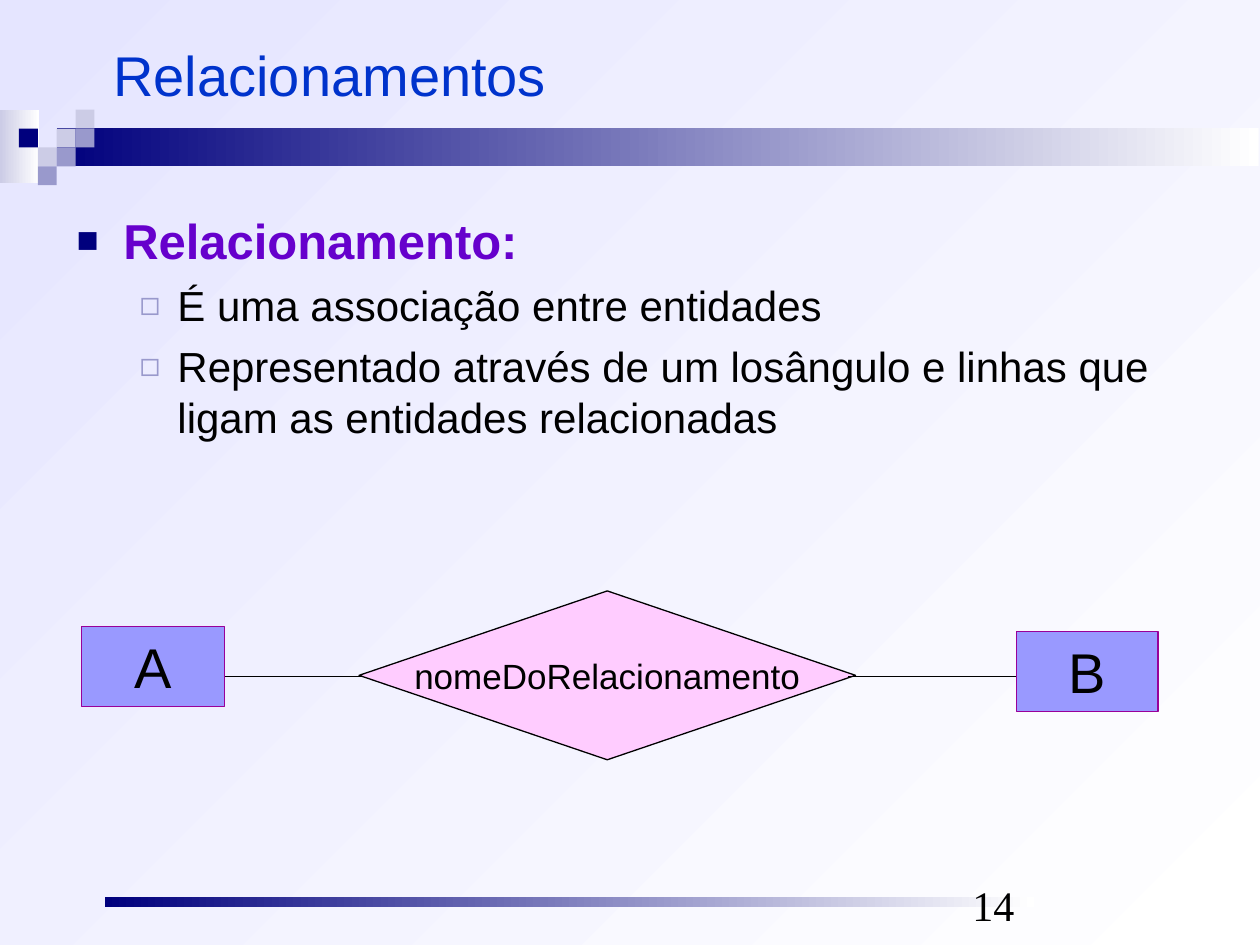
from lxml import etree
from pptx import Presentation
from pptx.dml.color import RGBColor
from pptx.enum.shapes import MSO_CONNECTOR, MSO_SHAPE
from pptx.enum.text import MSO_ANCHOR, MSO_AUTO_SIZE, PP_ALIGN
from pptx.oxml.ns import qn
from pptx.util import Inches, Pt

WHITE = RGBColor(0xFF, 0xFF, 0xFF)
BLACK = RGBColor(0, 0, 0)
NAVY = RGBColor(0, 0, 0x7D)
PALE = RGBColor(0xCC, 0xCC, 0xE6)
MID = RGBColor(0x99, 0x99, 0xCC)
LAVENDER = RGBColor(0xE5, 0xE5, 0xFF)
BLUE = RGBColor(0, 0x33, 0xCC)
VIOLET = RGBColor(0x66, 0, 0xCC)
PINK = RGBColor(0xFF, 0xCC, 0xFF)
ENTITY_FILL = RGBColor(0x99, 0x99, 0xFF)
ENTITY_LINE = RGBColor(0x99, 0, 0x99)

TITLE = "Relacionamentos"
BODY = [  # level, text
    (0, "Relacionamento:"),
    (1, "É uma associação entre entidades"),
    (1, "Representado através de um losângulo e linhas que ligam as entidades relacionadas"),
]
LEVELS = [
    dict(size=28, color=VIOLET, bold=True, before=7, margin=0.37, indent=-0.37,
         bullet="■", bullet_color=NAVY, bullet_size=75),
    dict(size=24, color=BLACK, bold=False, before=6, margin=0.8, indent=-0.3,
         bullet="◻", bullet_color=MID, bullet_size=80),
]
BARS = [  # box, colour at the left end
    ((0, 0.87, 0.31, 0.58), PALE),
    ((0.45, 1.02, 9.54, 0.3), NAVY),
    ((0.83, 7.12, 7.38, 0.08), NAVY),
]
SQUARE = 0.15
SQUARES_LEFT, SQUARES_TOP = 0.15, 0.87
SQUARES = [  # column, row, colour
    (2, 1, PALE), (3, 0, PALE), (3, 1, MID), (1, 2, PALE),
    (0, 1, NAVY), (2, 2, MID), (1, 3, MID),
]
DIAMOND = ("nomeDoRelacionamento", (2.85, 4.69, 3.94, 1.34))
ENTITIES = [("A", (0.65, 4.97, 1.13, 0.64)), ("B", (8.07, 5.01, 1.12, 0.64))]
LINE_Y = 5.37
LINES = [(1.3, 2.87), (6.73, 8.31)]


def inches(box):
    return [Inches(value) for value in box]


def set_gradient(fill, end_color, angle):
    """Fill from white to end_color; the angle runs counter-clockwise."""
    fill.gradient()
    fill.gradient_angle = angle
    for stop, color in zip(fill.gradient_stops, (WHITE, end_color)):
        stop.color.rgb = color


def add_run(paragraph, text, size, color, font="Arial", bold=False):
    run = paragraph.add_run()
    run.text = text
    run.font.size, run.font.name, run.font.bold = Pt(size), font, bold
    run.font.color.rgb = color


def add_block(slide, kind, box, color=None, line=None):
    shape = slide.shapes.add_shape(kind, *inches(box))
    shape.shadow.inherit = False
    if color is not None:
        shape.fill.solid()
        shape.fill.fore_color.rgb = color
    if line is None:
        shape.line.fill.background()
    else:
        shape.line.color.rgb = line
        shape.line.width = Pt(0.75)
    return shape


def label(shape, text, size, wrap):
    frame = shape.text_frame
    frame.word_wrap = wrap
    frame.vertical_anchor = MSO_ANCHOR.MIDDLE
    frame.paragraphs[0].alignment = PP_ALIGN.CENTER
    add_run(frame.paragraphs[0], text, size, BLACK)


def set_bullet(paragraph, style):
    properties = paragraph._p.get_or_add_pPr()
    properties.set("marL", str(Inches(style["margin"])))
    properties.set("indent", str(Inches(style["indent"])))
    color = etree.SubElement(properties, qn("a:buClr"))
    etree.SubElement(color, qn("a:srgbClr"), val=str(style["bullet_color"]))
    etree.SubElement(properties, qn("a:buSzPct"), val=str(style["bullet_size"] * 1000))
    etree.SubElement(properties, qn("a:buFont"), typeface="Arial")
    etree.SubElement(properties, qn("a:buChar"), char=style["bullet"])


def add_decoration(slide):
    set_gradient(slide.background.fill, LAVENDER, 135)
    for box, color in BARS:
        set_gradient(add_block(slide, MSO_SHAPE.RECTANGLE, box).fill, color, 180)
    for column, row, color in SQUARES:
        box = (SQUARES_LEFT + column * SQUARE, SQUARES_TOP + row * SQUARE, SQUARE, SQUARE)
        add_block(slide, MSO_SHAPE.RECTANGLE, box, color)


def add_title(slide):
    title = slide.shapes.title
    title.left, title.top, title.width, title.height = inches((0.8, 0.22, 9.01, 0.73))
    frame = title.text_frame
    frame.auto_size = MSO_AUTO_SIZE.NONE
    frame.vertical_anchor = MSO_ANCHOR.MIDDLE
    frame.paragraphs[0].alignment = PP_ALIGN.LEFT
    add_run(frame.paragraphs[0], TITLE, 32, BLUE)


def add_body(slide):
    frame = slide.shapes.add_textbox(*inches((0.51, 1.62, 9.01, 5.05))).text_frame
    frame.word_wrap = True
    for index, (level, text) in enumerate(BODY):
        paragraph = frame.add_paragraph() if index else frame.paragraphs[0]
        style = LEVELS[level]
        paragraph.level = level
        paragraph.space_before = Pt(style["before"])
        set_bullet(paragraph, style)
        add_run(paragraph, text, style["size"], style["color"], bold=style["bold"])


def add_diagram(slide):
    name, box = DIAMOND
    label(add_block(slide, MSO_SHAPE.DIAMOND, box, PINK, BLACK), name, 20, False)
    for start, end in LINES:
        line = slide.shapes.add_connector(
            MSO_CONNECTOR.STRAIGHT, *inches((start, LINE_Y, end, LINE_Y)))
        line.line.color.rgb = BLACK
        line.line.width = Pt(0.75)
        etree.SubElement(line._element.spPr, qn("a:effectLst"))
    for name, box in ENTITIES:
        entity = add_block(slide, MSO_SHAPE.RECTANGLE, box, ENTITY_FILL, ENTITY_LINE)
        label(entity, name, 32, True)


def add_page_number(slide):
    frame = slide.shapes.add_textbox(*inches((7.62, 6.93, 2.33, 0.5))).text_frame
    frame.word_wrap = True
    frame.vertical_anchor = MSO_ANCHOR.BOTTOM
    add_run(frame.paragraphs[0], "14", 24, BLACK, "Times New Roman")


def main():
    presentation = Presentation()
    presentation.slide_width, presentation.slide_height = Inches(10), Inches(7.5)
    slide = presentation.slides.add_slide(presentation.slide_layouts[5])
    add_decoration(slide)
    add_title(slide)
    add_body(slide)
    add_diagram(slide)
    add_page_number(slide)
    presentation.save("out.pptx")


if __name__ == "__main__":
    main()
